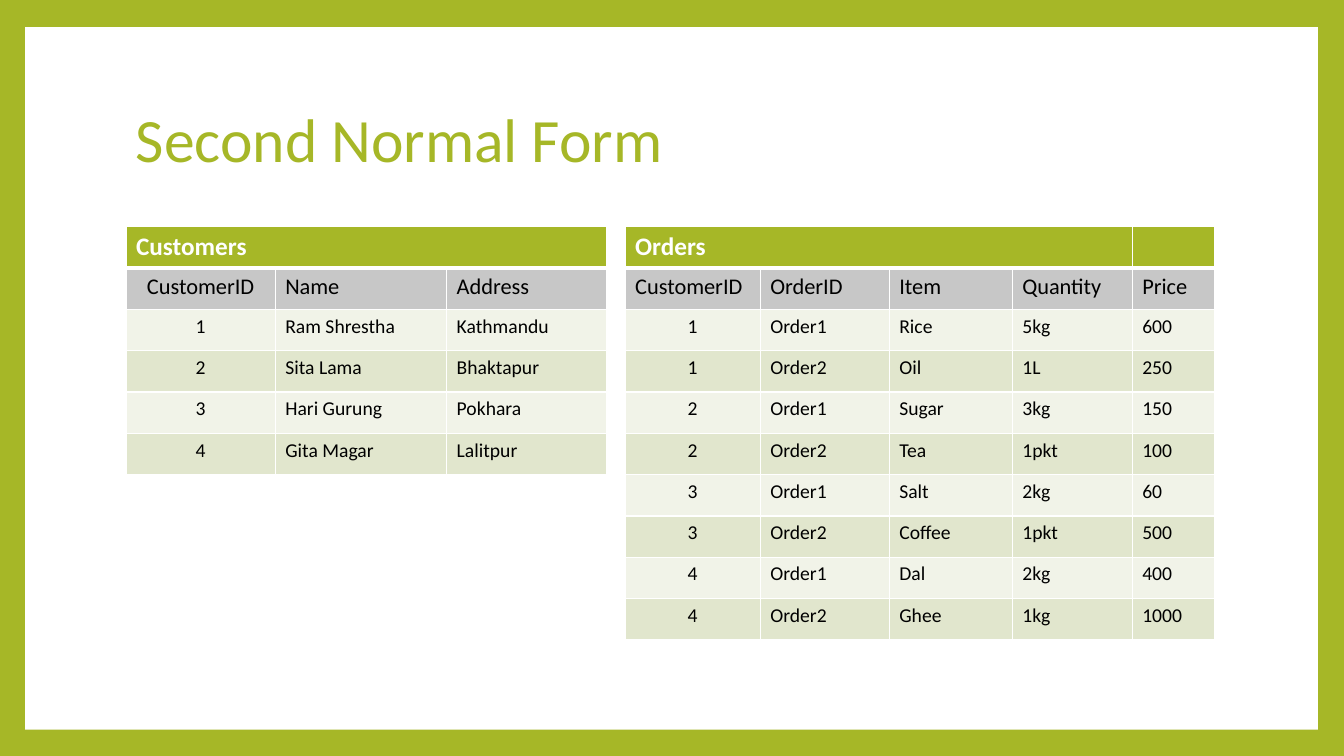
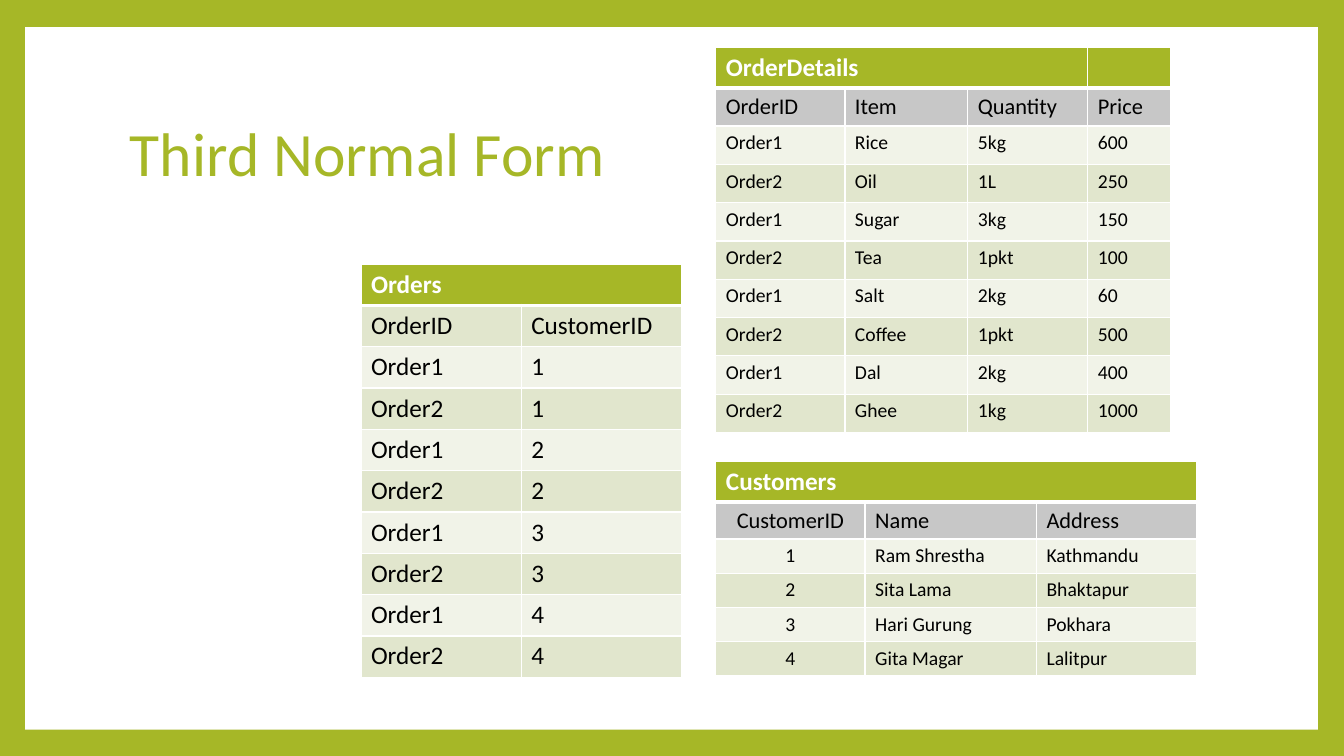
"""Build two slides that show the second and third normal forms as tables."""
from lxml import etree
from pptx import Presentation
from pptx.dml.color import RGBColor
from pptx.enum.shapes import MSO_SHAPE
from pptx.enum.text import MSO_ANCHOR, PP_ALIGN
from pptx.oxml.ns import qn
from pptx.util import Inches, Pt

RECTANGLE = MSO_SHAPE.RECTANGLE
MIDDLE = MSO_ANCHOR.MIDDLE
LEFT, CENTER = PP_ALIGN.LEFT, PP_ALIGN.CENTER

FONT = "Calibri"
GREEN = RGBColor(0xA6, 0xB7, 0x27)
WHITE = RGBColor(0xFF, 0xFF, 0xFF)
BLACK = RGBColor(0x00, 0x00, 0x00)
GRAY = RGBColor(0xC7, 0xC7, 0xC7)
PALE = RGBColor(0xF1, 0xF3, 0xE8)
SAGE = RGBColor(0xE1, 0xE6, 0xCD)

THIN, THICK = Pt(1), Pt(3)

CUSTOMERS = [
    ("CustomerID", "Name", "Address"),
    ("1", "Ram Shrestha", "Kathmandu"),
    ("2", "Sita Lama", "Bhaktapur"),
    ("3", "Hari Gurung", "Pokhara"),
    ("4", "Gita Magar", "Lalitpur"),
]
ORDERS = [
    ("CustomerID", "OrderID", "Item", "Quantity", "Price"),
    ("1", "Order1", "Rice", "5kg", "600"),
    ("1", "Order2", "Oil", "1L", "250"),
    ("2", "Order1", "Sugar", "3kg", "150"),
    ("2", "Order2", "Tea", "1pkt", "100"),
    ("3", "Order1", "Salt", "2kg", "60"),
    ("3", "Order2", "Coffee", "1pkt", "500"),
    ("4", "Order1", "Dal", "2kg", "400"),
    ("4", "Order2", "Ghee", "1kg", "1000"),
]
ORDER_DETAILS = [row[1:] for row in ORDERS]
ORDER_OWNERS = [(row[1], row[0]) for row in ORDERS]

CUSTOMER_WIDTHS = (1.48, 1.7, 1.59)
ORDER_WIDTHS = (1.34, 1.28, 1.22, 1.19, 0.82)

SLIDES = [
    {
        "title": "Second Normal Form",
        "title_at": (1.25, 0.67),
        "tables": [
            {"name": "Customers", "rows": CUSTOMERS, "at": (1.25, 2.25),
             "widths": CUSTOMER_WIDTHS, "heights": [0.41] * 6,
             "center_heading": True, "center_keys": True},
            {"name": "Orders", "rows": ORDERS, "at": (6.2, 2.25),
             "widths": ORDER_WIDTHS, "heights": [0.41] * 10,
             "name_span": 4, "center_keys": True},
        ],
    },
    {
        "title": "Third Normal Form",
        "title_at": (1.19, 0.81),
        "tables": [
            {"name": "Orders", "rows": ORDER_OWNERS, "at": (3.58, 2.62),
             "widths": (1.59, 1.59), "heights": [0.41] * 10,
             "heading_fill": SAGE, "heading_size": 18, "body_size": 18},
            {"name": "Customers", "rows": CUSTOMERS, "at": (7.1, 4.58),
             "widths": CUSTOMER_WIDTHS, "heights": [0.4, 0.36] + [0.34] * 4,
             "center_heading": True, "center_keys": True},
            {"name": "OrderDetails", "rows": ORDER_DETAILS, "at": (7.1, 0.47),
             "widths": ORDER_WIDTHS[1:], "heights": [0.38] * 10,
             "name_span": 3},
        ],
    },
]


def write_text(frame, text, size, color, bold=False, align=LEFT, spacing=1.0):
    """Write one formatted line into a text frame."""
    paragraph = frame.paragraphs[0]
    paragraph.alignment = align
    paragraph.line_spacing = spacing
    run = paragraph.add_run()
    run.text = text
    run.font.name = FONT
    run.font.size = Pt(size)
    run.font.bold = bold
    run.font.color.rgb = color


def style_cell(cell, fill, top=THIN, bottom=THIN):
    """Give a cell its fill and white borders."""
    cell.fill.solid()
    cell.fill.fore_color.rgb = fill
    properties = cell._tc.get_or_add_tcPr()
    borders = (("a:lnL", THIN), ("a:lnR", THIN), ("a:lnT", top), ("a:lnB", bottom))
    for position, (tag, width) in enumerate(borders):
        line = etree.Element(qn(tag), w=str(int(width)))
        solid = etree.SubElement(line, qn("a:solidFill"))
        etree.SubElement(solid, qn("a:srgbClr"), val=str(WHITE))
        properties.insert(position, line)


def add_data_table(slide, name, rows, at, widths, heights, name_span=None,
                   heading_fill=GRAY, heading_size=16, body_size=14,
                   center_heading=False, center_keys=False):
    """Add a table with a name row, a heading row and banded data rows."""
    left, top = at
    table = slide.shapes.add_table(
        len(heights), len(widths), Inches(left), Inches(top),
        Inches(sum(widths)), Inches(sum(heights))).table
    for column, width in zip(table.columns, widths):
        column.width = Inches(width)
    for table_row, height in zip(table.rows, heights):
        table_row.height = Inches(height)

    for cell in table.rows[0].cells:
        style_cell(cell, GREEN, bottom=THICK)
    name_cell = table.cell(0, 0)
    name_cell.merge(table.cell(0, (name_span or len(widths)) - 1))
    write_text(name_cell.text_frame, name, 18, WHITE, bold=True)

    for row_index, row in enumerate(rows, start=1):
        heading = row_index == 1
        fill = heading_fill if heading else (PALE, SAGE)[row_index % 2]
        size = heading_size if heading else body_size
        centered = center_heading if heading else center_keys
        for column_index, text in enumerate(row):
            cell = table.cell(row_index, column_index)
            style_cell(cell, fill, top=THICK if heading else THIN)
            align = CENTER if centered and column_index == 0 else LEFT
            write_text(cell.text_frame, text, size, BLACK, align=align)


def add_framed_slide(presentation, title, title_at):
    """Add a slide with the white panel and its title."""
    slide = presentation.slides.add_slide(presentation.slide_layouts[6])
    panel = slide.shapes.add_shape(
        RECTANGLE, Inches(0.25), Inches(0.27), Inches(12.82), Inches(6.97))
    panel.shadow.inherit = False
    panel.fill.solid()
    panel.fill.fore_color.rgb = WHITE
    panel.line.fill.background()
    left, top = title_at
    box = slide.shapes.add_textbox(
        Inches(left), Inches(top), Inches(10.8), Inches(1.48))
    box.text_frame.word_wrap = True
    box.text_frame.vertical_anchor = MIDDLE
    write_text(box.text_frame, title, 44, GREEN, spacing=0.9)
    return slide


def main():
    """Build and save the presentation."""
    presentation = Presentation()
    presentation.slide_width = Inches(13.33)
    presentation.slide_height = Inches(7.5)
    background = presentation.slide_master.background.fill
    background.solid()
    background.fore_color.rgb = GREEN
    for content in SLIDES:
        slide = add_framed_slide(presentation, content["title"], content["title_at"])
        for table in content["tables"]:
            add_data_table(slide, **table)
    presentation.save("out.pptx")


if __name__ == "__main__":
    main()
